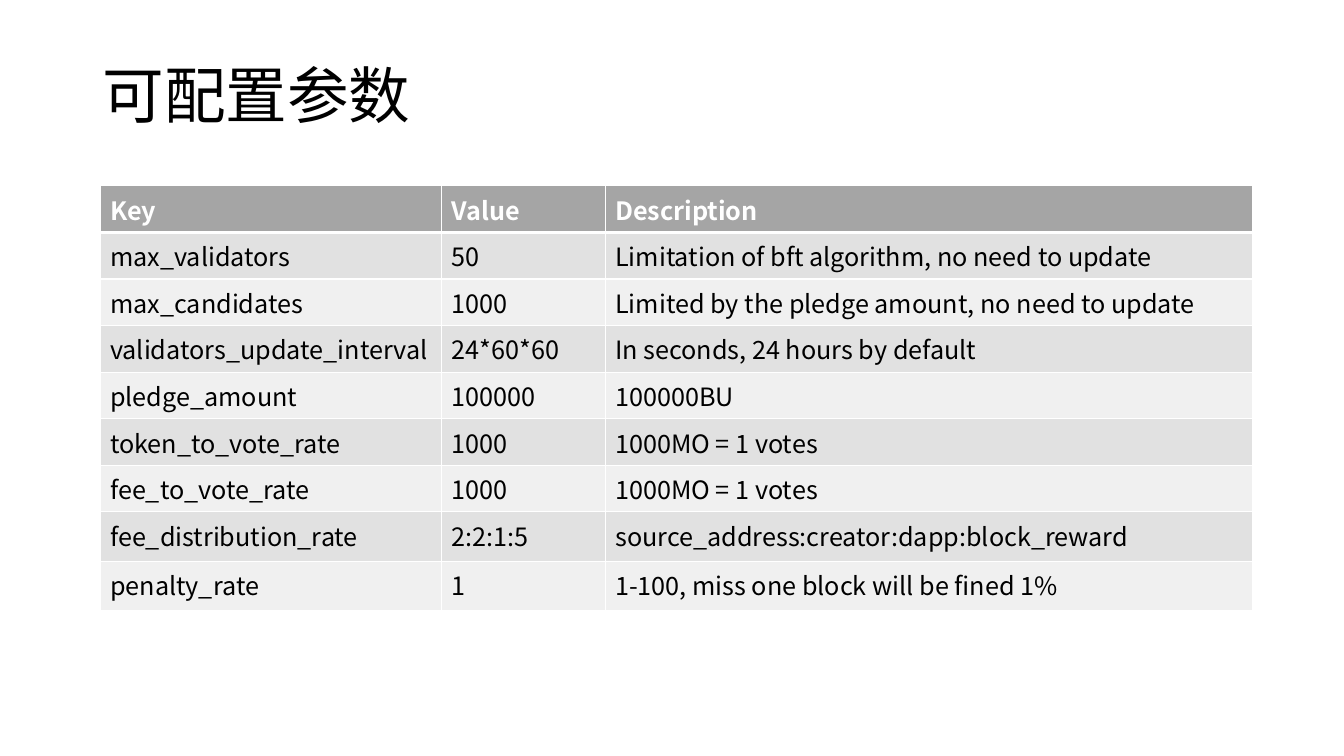
from typing import NamedTuple

from lxml.etree import SubElement
from pptx import Presentation
from pptx.dml.color import RGBColor
from pptx.enum.text import MSO_ANCHOR, MSO_AUTO_SIZE, PP_ALIGN
from pptx.oxml.ns import qn
from pptx.slide import Slide
from pptx.table import _Cell
from pptx.text.text import _Paragraph
from pptx.util import Pt

FONT = "Noto Sans CJK SC"
COLORS = {
    "text": "000000",
    "border": "FFFFFF",
    "header_text": "FFFFFF",
    "header": "A5A5A5",
    "odd_row": "E1E1E1",
    "even_row": "F0F0F0",
}
COLUMN_WIDTHS = (244, 116.8, 462.2)
ROW_HEIGHT = 33.3
TALL_ROW_HEIGHT = 35.3


class Parameter(NamedTuple):
    key: str
    value: str
    description: str
    height: float = ROW_HEIGHT


HEADINGS = Parameter("Key", "Value", "Description")
PARAMETERS = (
    Parameter("max_validators", "50", "Limitation of bft algorithm, no need to update"),
    Parameter("max_candidates", "1000", "Limited by the pledge amount, no need to update"),
    Parameter("validators_update_interval", "24*60*60", "In seconds, 24 hours by default"),
    Parameter("pledge_amount", "100000", "100000BU"),
    Parameter("token_to_vote_rate", "1000", "1000MO = 1 votes"),
    Parameter("fee_to_vote_rate", "1000", "1000MO = 1 votes"),
    Parameter("fee_distribution_rate", "2:2:1:5", "source_address:creator:dapp:block_reward",
              TALL_ROW_HEIGHT),
    Parameter("penalty_rate", "1", "1-100, miss one block will be fined 1%", TALL_ROW_HEIGHT),
)


def format_runs(paragraph: _Paragraph, size: float, color: str, bold: bool = False) -> None:
    for run in paragraph.runs:
        run.font.name = FONT
        run.font.size = Pt(size)
        run.font.bold = bold
        run.font.color.rgb = RGBColor.from_string(COLORS[color])
        SubElement(run.font._element, qn("a:ea"), typeface=FONT)


def add_borders(cell: _Cell, top: float, bottom: float) -> None:
    """Outline the cell; call before setting its fill, which must follow in the XML."""
    properties = cell._tc.get_or_add_tcPr()
    for side, width in (("L", 1), ("R", 1), ("T", top), ("B", bottom)):
        line = SubElement(properties, qn(f"a:ln{side}"), w=str(Pt(width)))
        fill = SubElement(line, qn("a:solidFill"))
        SubElement(fill, qn("a:srgbClr"), val=COLORS["border"])


def add_title(slide: Slide, wording: str) -> None:
    title = slide.shapes.title
    title.left, title.top, title.width, title.height = Pt(66), Pt(28.75), Pt(828), Pt(83.5)
    frame = title.text_frame
    frame.text = wording
    frame.word_wrap = True
    frame.auto_size = MSO_AUTO_SIZE.NONE
    frame.vertical_anchor = MSO_ANCHOR.MIDDLE
    heading = frame.paragraphs[0]
    heading.alignment = PP_ALIGN.LEFT
    heading.line_spacing = 0.9
    format_runs(heading, 44, "text")


def add_parameter_table(slide: Slide) -> None:
    rows = (HEADINGS, *PARAMETERS)
    table = slide.shapes.add_table(
        len(rows), len(COLUMN_WIDTHS), Pt(71.5), Pt(132.7),
        Pt(sum(COLUMN_WIDTHS)), Pt(sum(row.height for row in rows)),
    ).table
    for column, width in zip(table.columns, COLUMN_WIDTHS):
        column.width = Pt(width)

    for index, parameter in enumerate(rows):
        is_header = index == 0
        background = "header" if is_header else "odd_row" if index % 2 else "even_row"
        table.rows[index].height = Pt(parameter.height)
        for cell, wording in zip(table.rows[index].cells, parameter[:3]):
            add_borders(cell, top=3 if index == 1 else 1, bottom=3 if is_header else 1)
            cell.fill.solid()
            cell.fill.fore_color.rgb = RGBColor.from_string(COLORS[background])
            cell.text_frame.text = wording
            format_runs(cell.text_frame.paragraphs[0], 18,
                        "header_text" if is_header else "text", is_header)


def main() -> None:
    presentation = Presentation()
    presentation.slide_width, presentation.slide_height = Pt(960), Pt(540)
    slide = presentation.slides.add_slide(presentation.slide_layouts.get_by_name("Title Only"))
    add_title(slide, "可配置参数")
    add_parameter_table(slide)
    presentation.save("out.pptx")


if __name__ == "__main__":
    main()
